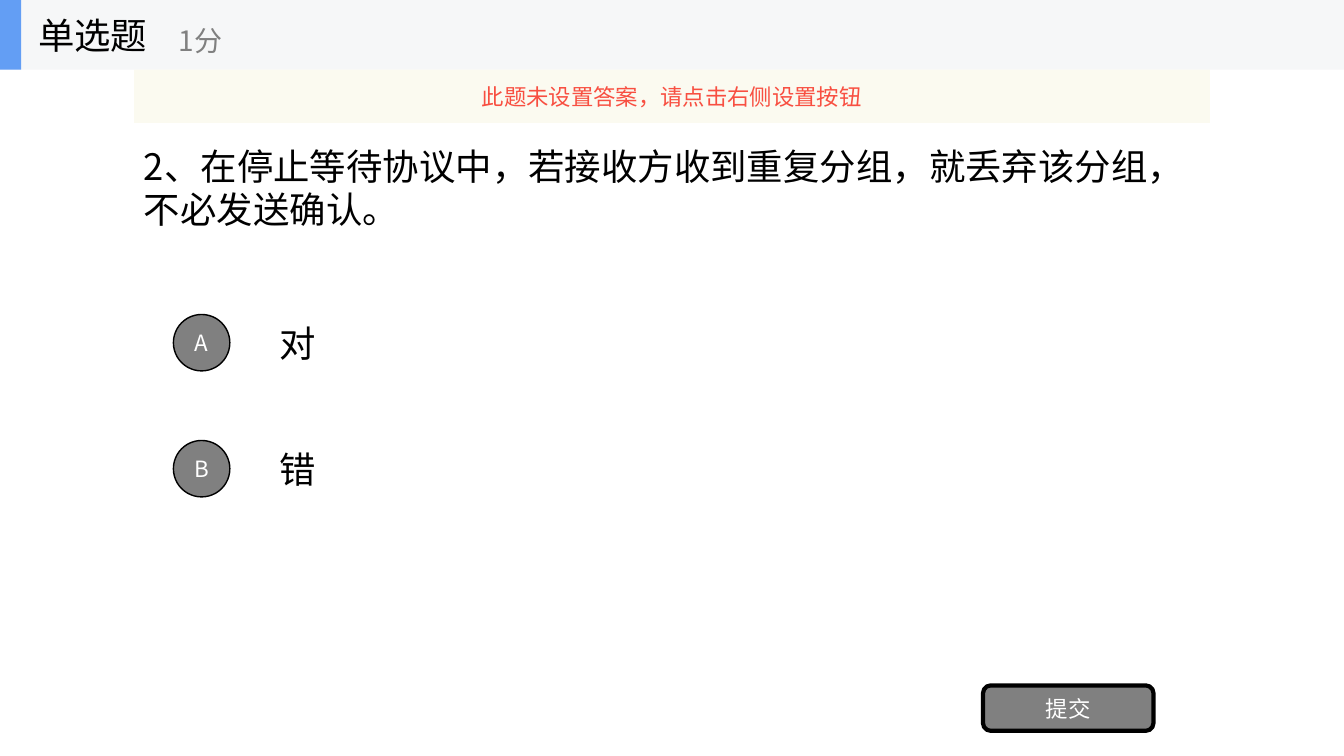
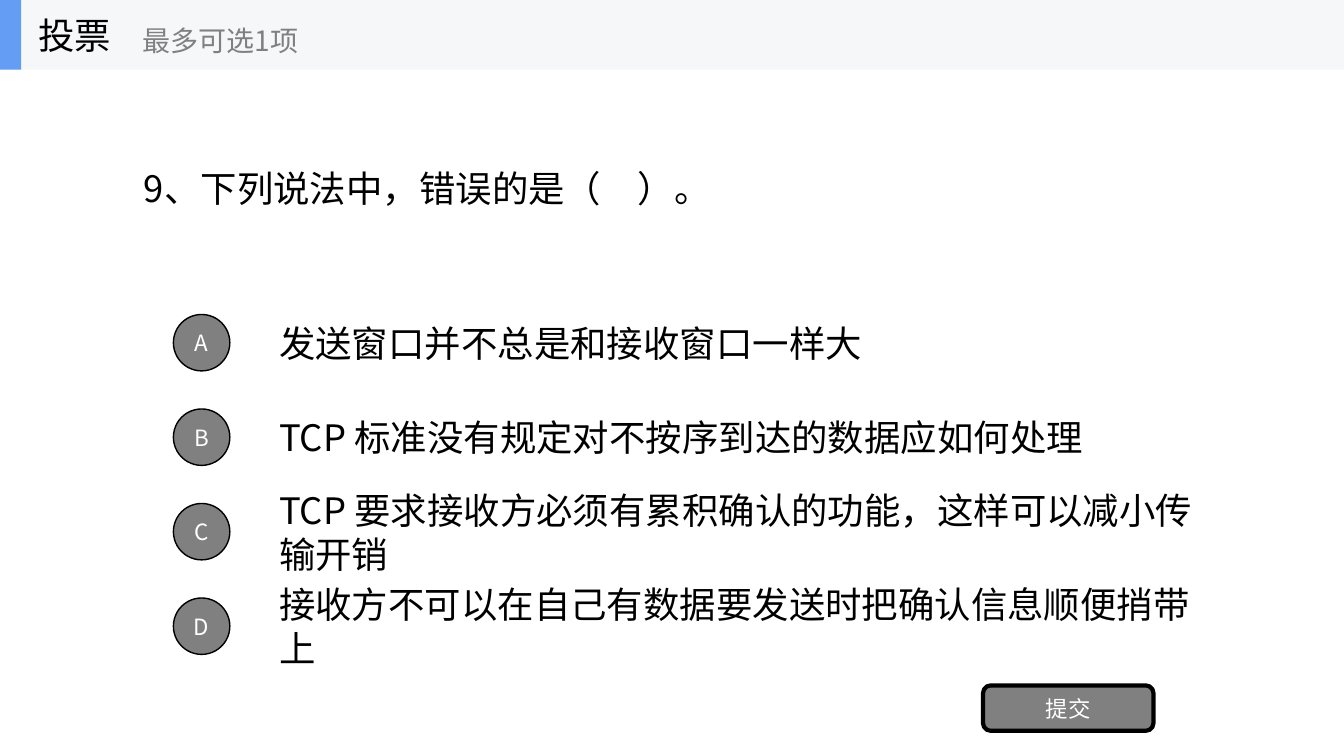
from dataclasses import dataclass

from lxml.etree import SubElement
from pptx import Presentation
from pptx.dml.color import RGBColor
from pptx.enum.shapes import MSO_SHAPE
from pptx.enum.text import MSO_ANCHOR, PP_ALIGN
from pptx.oxml.ns import qn
from pptx.util import Inches, Pt

# Content
QUESTIONS = [
    {
        "kind": "单选题",
        "hint": "1分",
        "question": "2、在停止等待协议中，若接收方收到重复分组，就丢弃该分组，不必发送确认。",
        "options": ["对", "错"],
        "notice": "此题未设置答案，请点击右侧设置按钮",
    },
    {
        "kind": "投票",
        "hint": "最多可选1项",
        "question": "9、下列说法中，错误的是（　）。",
        "options": [
            "发送窗口并不总是和接收窗口一样大",
            "TCP 标准没有规定对不按序到达的数据应如何处理",
            "TCP 要求接收方必须有累积确认的功能，这样可以减小传输开销",
            "接收方不可以在自己有数据要发送时把确认信息顺便捎带上",
        ],
        "notice": None,
    },
]
SUBMIT_LABEL = "提交"


# Theme
@dataclass(frozen=True)
class Theme:
    font: str = "Noto Sans CJK SC"
    black: str = "000000"
    white: str = "FFFFFF"
    gray: str = "808080"
    band: str = "F6F7F8"
    accent: str = "639EF4"
    notice_fill: str = "FBFAEF"
    notice_text: str = "F84F41"
    body_size: int = 26
    hint_size: int = 20
    label_size: int = 16


THEME = Theme()

# Layout in inches
SLIDE_WIDTH, SLIDE_HEIGHT = 13.33, 7.5
BAND_HEIGHT = 0.69
CONTENT_LEFT, CONTENT_WIDTH = 1.33, 10.67
OPTION_LEFT, OPTION_TOP, OPTION_WIDTH, OPTION_HEIGHT = 2.67, 3.05, 9.33, 0.7
OPTIONS_SPAN, MIN_ROWS = 3.75, 3
BADGE_LEFT, BADGE_SIZE = 1.72, 0.56
TITLE_LEFT, HINT_GAP = 0.28, 0.31
CHARACTER_WIDTH = THEME.body_size / 72


def write(shape, text, size, color, align=PP_ALIGN.LEFT):
    frame = shape.text_frame
    frame.word_wrap = True
    frame.vertical_anchor = MSO_ANCHOR.MIDDLE
    paragraph = frame.paragraphs[0]
    paragraph.alignment = align
    run = paragraph.add_run()
    run.text = text
    run.font.size = Pt(size)
    run.font.color.rgb = RGBColor.from_string(color)
    run.font.name = THEME.font
    # East Asian characters need their own typeface entry
    SubElement(run.font._element, qn("a:ea"), typeface=THEME.font)


def add_text(shapes, box, text, size=THEME.body_size, color=THEME.black):
    write(shapes.add_textbox(*map(Inches, box)), text, size, color)


def add_block(shapes, kind, box, fill, line_width=0):
    shape = shapes.add_shape(kind, *map(Inches, box))
    shape.shadow.inherit = False
    shape.fill.solid()
    shape.fill.fore_color.rgb = RGBColor.from_string(fill)
    if line_width:
        shape.line.color.rgb = RGBColor.from_string(THEME.black)
        shape.line.width = Pt(line_width)
    else:
        shape.line.fill.background()
    return shape


def add_button(shapes, kind, box, label, line_width):
    button = add_block(shapes, kind, box, THEME.gray, line_width)
    button.text_frame.margin_left = button.text_frame.margin_right = 0
    write(button, label, THEME.label_size, THEME.white, PP_ALIGN.CENTER)


def add_header(slide, kind, hint):
    shapes = slide.shapes.add_group_shape().shapes
    add_block(shapes, MSO_SHAPE.RECTANGLE, (0, 0, SLIDE_WIDTH, BAND_HEIGHT), THEME.band)
    add_block(shapes, MSO_SHAPE.RECTANGLE, (0, 0, 0.21, BAND_HEIGHT), THEME.accent)
    add_text(shapes, (TITLE_LEFT, 0, 2.08, BAND_HEIGHT), kind)
    # The hint follows the end of the title
    hint_left = TITLE_LEFT + len(kind) * CHARACTER_WIDTH + HINT_GAP
    add_text(shapes, (hint_left, 0.12, 2.5, 0.56), hint, THEME.hint_size, THEME.gray)


def add_options(slide, options):
    pitch = OPTIONS_SPAN / max(len(options), MIN_ROWS)
    for row, option in enumerate(options):
        top = OPTION_TOP + row * pitch
        badge_top = top + (OPTION_HEIGHT - BADGE_SIZE) / 2
        add_text(slide.shapes, (OPTION_LEFT, top, OPTION_WIDTH, OPTION_HEIGHT), option)
        add_button(slide.shapes, MSO_SHAPE.OVAL,
                   (BADGE_LEFT, badge_top, BADGE_SIZE, BADGE_SIZE), "ABCD"[row], 1)


def add_notice(slide, notice):
    banner = add_block(slide.shapes, MSO_SHAPE.RECTANGLE,
                       (CONTENT_LEFT, BAND_HEIGHT, CONTENT_WIDTH, 0.53), THEME.notice_fill)
    color = banner.fill._xPr.find(qn("a:solidFill"))[0]
    SubElement(color, qn("a:alpha"), val="90000")
    write(banner, notice, THEME.label_size, THEME.notice_text, PP_ALIGN.CENTER)


def add_question_slide(presentation, item):
    slide = presentation.slides.add_slide(presentation.slide_layouts[6])
    add_text(slide.shapes, (CONTENT_LEFT, BAND_HEIGHT, CONTENT_WIDTH, 2.34), item["question"])
    add_options(slide, item["options"])
    add_button(slide.shapes, MSO_SHAPE.ROUNDED_RECTANGLE, (9.75, 6.8, 1.69, 0.45),
               SUBMIT_LABEL, 3)
    add_header(slide, item["kind"], item["hint"])
    if item["notice"]:
        add_notice(slide, item["notice"])


def main():
    presentation = Presentation()
    presentation.slide_width = Inches(SLIDE_WIDTH)
    presentation.slide_height = Inches(SLIDE_HEIGHT)
    for item in QUESTIONS:
        add_question_slide(presentation, item)
    presentation.save("out.pptx")


if __name__ == "__main__":
    main()
